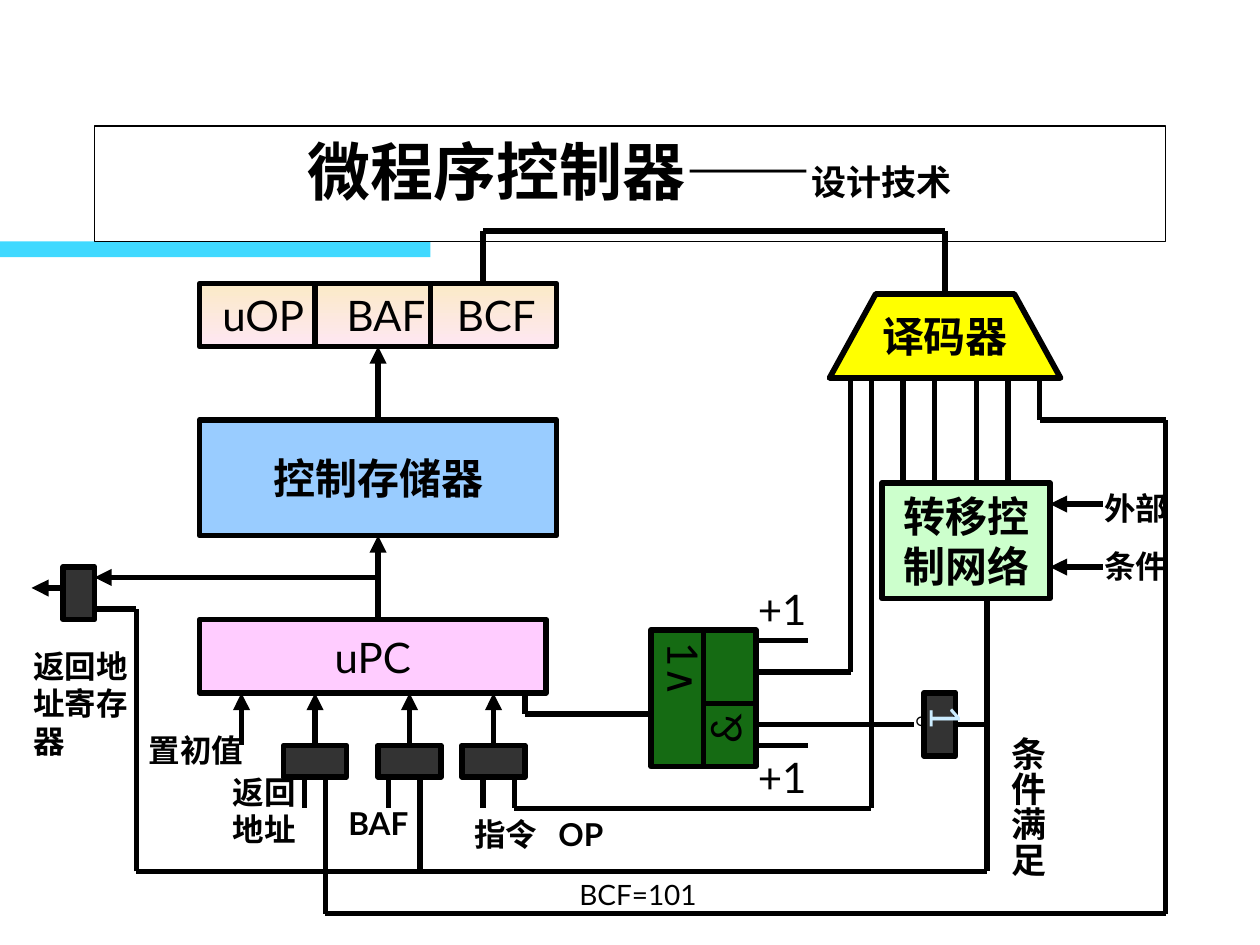
from itertools import pairwise
from lxml.etree import SubElement
from pptx import Presentation
from pptx.dml.color import RGBColor as RGB
from pptx.enum.shapes import MSO_CONNECTOR as LINK, MSO_SHAPE as KIND
from pptx.enum.text import MSO_ANCHOR as ANCHOR, MSO_AUTO_SIZE as FIT, PP_ALIGN as ALIGN
from pptx.oxml.ns import qn
from pptx.util import Pt

BLACK = RGB(0, 0, 0)
WHITE = RGB(255, 255, 255)
CYAN = RGB(0x40, 0xD9, 0xFF)
CREAM = RGB(0xFB, 0xEA, 0xC7)
ROSE = RGB(0xFE, 0xE7, 0xF2)
BLUE = RGB(0x99, 0xCC, 0xFF)
PINK = RGB(0xFF, 0xCC, 0xFF)
YELLOW = RGB(0xFF, 0xFF, 0)
MINT = RGB(0xCC, 0xFF, 0xCC)
GRAY = RGB(0x33, 0x33, 0x33)
GREEN = RGB(0x15, 0x6B, 0x13)
PALE = RGB(0xCC, 0xEC, 0xFF)
FONT = "Lato"
THICK = 3.25

TITLE = [("微程序控制器——", 36), ("设计技术", 20)]
FIELDS = "uOP\tBAF\tBCF"
STOPS = [71, 134]

BLOCKS = [
    ((114, 240, 204, 66), BLUE, ["控制存储器"], True),
    ((114, 354, 198, 42), PINK, ["uPC"], False),
    ((504, 276, 96, 66), MINT, ["转移控", "制网络"], True),
]
GATES = [(36, 324, 18, 30), (528, 396, 18, 36)]
GATES += [(mid - 18, 426, 36, 18) for mid in (180, 234, 282)]
ADDER = (372, 360, 60, 78)

ARROWS = [
    [(216, 240), (216, 198)],
    [(216, 354), (216, 306)],
    [(36, 336), (18, 336)],
    [(216, 330), (54, 330)],
    [(630, 288), (600, 288)],
    [(630, 324), (600, 324)],
]
ARROWS += [[(x, 426), (x, 396)] for x in (138, 180, 234, 282)]

WIRES = [
    [(180, 162), (180, 198)],
    [(246, 162), (246, 198)],
    [(402, 360), (402, 438)],
    [(402, 402), (432, 402)],
    [(486, 216), (486, 384), (432, 384)],
    [(432, 366), (462, 366)],
    [(432, 414), (522, 414)],
    [(432, 426), (462, 426)],
    [(546, 414), (564, 414)],
    [(564, 342), (564, 498), (78, 498), (78, 348), (54, 348)],
    [(186, 444), (186, 522), (666, 522), (666, 240), (594, 240), (594, 216)],
    [(240, 444), (240, 498)],
    [(294, 444), (294, 462), (498, 462), (498, 216)],
    [(300, 396), (300, 408), (372, 408)],
    [(540, 168), (540, 132), (276, 132), (276, 162)],
]
WIRES += [[(x, 444), (x, 462)] for x in (174, 222, 276)]
WIRES += [[(x, 276), (x, 216)] for x in (516, 534, 558, 576)]

LABELS = [
    ((516, 402, 24, 19), ["○"], 10, False),
    ((12, 366, 72, 72), ["返回地址寄存器"], 18, True),
    ((78, 414, 72, 29), ["置初值"], 18, True),
    ((126, 438, 54, 50), ["返回地址"], 18, True),
    ((192, 456, 60, 29), ["BAF"], 18, True),
    ((264, 462, 102, 29), ["指令\tOP"], 18, True),
    ((426, 330, 66, 36), ["+1"], 24, False),
    ((426, 426, 66, 36), ["+1"], 24, False),
    ((624, 276, 60, 62), ["外部", "条件"], 18, True),
    ((324, 498, 84, 27), ["BCF=101"], 16, False),
]
UPRIGHT = [
    ((366, 360, 43, 78), "1∧", 24, False, BLACK, 0),
    ((396, 402, 43, 30), "&", 24, False, BLACK, 180),
    ((516, 396, 43, 42), "1", 24, False, PALE, 0),
    ((565, 414, 38, 102), "条件满足", 20, True, BLACK, 0),
]

deck = Presentation()
deck.slide_width, deck.slide_height = Pt(720), Pt(540)
slide = deck.slides.add_slide(deck.slide_layouts[6])
shapes = slide.shapes
joints = {}


def add_box(at, fill, kind=KIND.RECTANGLE, width=THICK):
    box = shapes.add_shape(kind, *map(Pt, at))
    box.shadow.inherit = False
    box.fill.solid()
    box.fill.fore_color.rgb = fill
    if width:
        box.line.color.rgb = BLACK
        box.line.width = Pt(width)
    else:
        box.line.fill.background()
    x, y, w, h = at
    sides = [(x + w / 2, y), (x, y + h / 2), (x + w / 2, y + h), (x + w, y + h / 2)]
    if kind != KIND.FLOWCHART_MANUAL_OPERATION:
        joints.update({spot: (box, site) for site, spot in enumerate(sides)})
    return box


def add_tabs(para, stops):
    tabs = SubElement(para._p.get_or_add_pPr(), qn("a:tabLst"))
    for stop in stops:
        SubElement(tabs, qn("a:tab"), pos=str(Pt(stop)), algn="l")


def write(box, lines, size, bold=False, align=ALIGN.CENTER, color=BLACK, gap=0, stops=()):
    frame = box.text_frame
    for i, line in enumerate(lines):
        para = frame.add_paragraph() if i else frame.paragraphs[0]
        para.text = line
        if stops:
            add_tabs(para, stops)
        para.alignment = align
        if i and gap:
            para.space_before = Pt(gap)
        font = para.font
        font.name, font.size, font.bold = FONT, Pt(size), bold
        font.color.rgb = color


def add_label(at, lines, size, bold, color=BLACK):
    box = shapes.add_textbox(*map(Pt, at))
    box.text_frame.word_wrap = True
    box.text_frame.auto_size = FIT.SHAPE_TO_FIT_TEXT
    stops = [48] if "\t" in lines[0] else []
    write(box, lines, size, bold, ALIGN.LEFT, color, 11.2, stops)
    return box


def add_line(start, end, arrow=False):
    link = shapes.add_connector(LINK.STRAIGHT, *map(Pt, start + end))
    link.line.color.rgb = BLACK
    link.line.width = Pt(THICK)
    if arrow:
        SubElement(link.line._get_or_add_ln(), qn("a:tailEnd"), type="triangle")
    SubElement(link._element.spPr, qn("a:effectLst"))
    if start in joints:
        link.begin_connect(*joints[start])
    if end in joints:
        link.end_connect(*joints[end])


add_box((0, 138, 246, 9), CYAN, width=0)
title = add_box((54, 72, 612, 66), WHITE, width=0.75)
title.text_frame.vertical_anchor = ANCHOR.TOP
para = title.text_frame.paragraphs[0]
para.alignment = ALIGN.CENTER
para.font.name, para.font.bold = "Times New Roman", True
para.font.color.rgb = BLACK
for text, size in TITLE:
    run = para.add_run()
    run.text = text
    run.font.size = Pt(size)

word = add_box((114, 162, 204, 36), CREAM, KIND.FLOWCHART_PROCESS)
word.fill.gradient()
word.fill.gradient_angle = 270
for stop, color, spot in zip(word.fill.gradient_stops, (CREAM, ROSE), (0, 1)):
    stop.color.rgb, stop.position = color, spot
word.text_frame.margin_left, word.text_frame.margin_right = Pt(13), 0
word.text_frame.vertical_anchor = ANCHOR.MIDDLE
write(word, [FIELDS], 24, align=ALIGN.LEFT, stops=STOPS)

for at, fill, lines, bold in BLOCKS:
    box = add_box(at, fill, KIND.FLOWCHART_PROCESS)
    box.text_frame.word_wrap = False
    write(box, lines, 24, bold)

coder = add_box((474, 168, 132, 48), YELLOW, KIND.FLOWCHART_MANUAL_OPERATION)
coder._element.spPr.xfrm.set("flipV", "1")
coder.text_frame._txBody.bodyPr.set("rot", "10800000")
coder.text_frame.word_wrap = False
write(coder, ["译码器"], 24, True)

for at in GATES:
    add_box(at, GRAY)
add_box(ADDER, GREEN)

for start, end in ARROWS:
    add_line(start, end, True)
for wire in WIRES:
    for start, end in pairwise(wire):
        add_line(start, end)

for label in LABELS:
    add_label(*label)
for at, text, size, bold, color, turn in UPRIGHT:
    box = add_label(at, [text], size, bold, color)
    box.rotation = turn
    frame = box.text_frame
    frame._txBody.bodyPr.set("vert", "eaVert")
    frame.margin_left = frame.margin_right = Pt(3.6)
    frame.margin_top = frame.margin_bottom = Pt(7.2)

deck.save("out.pptx")
